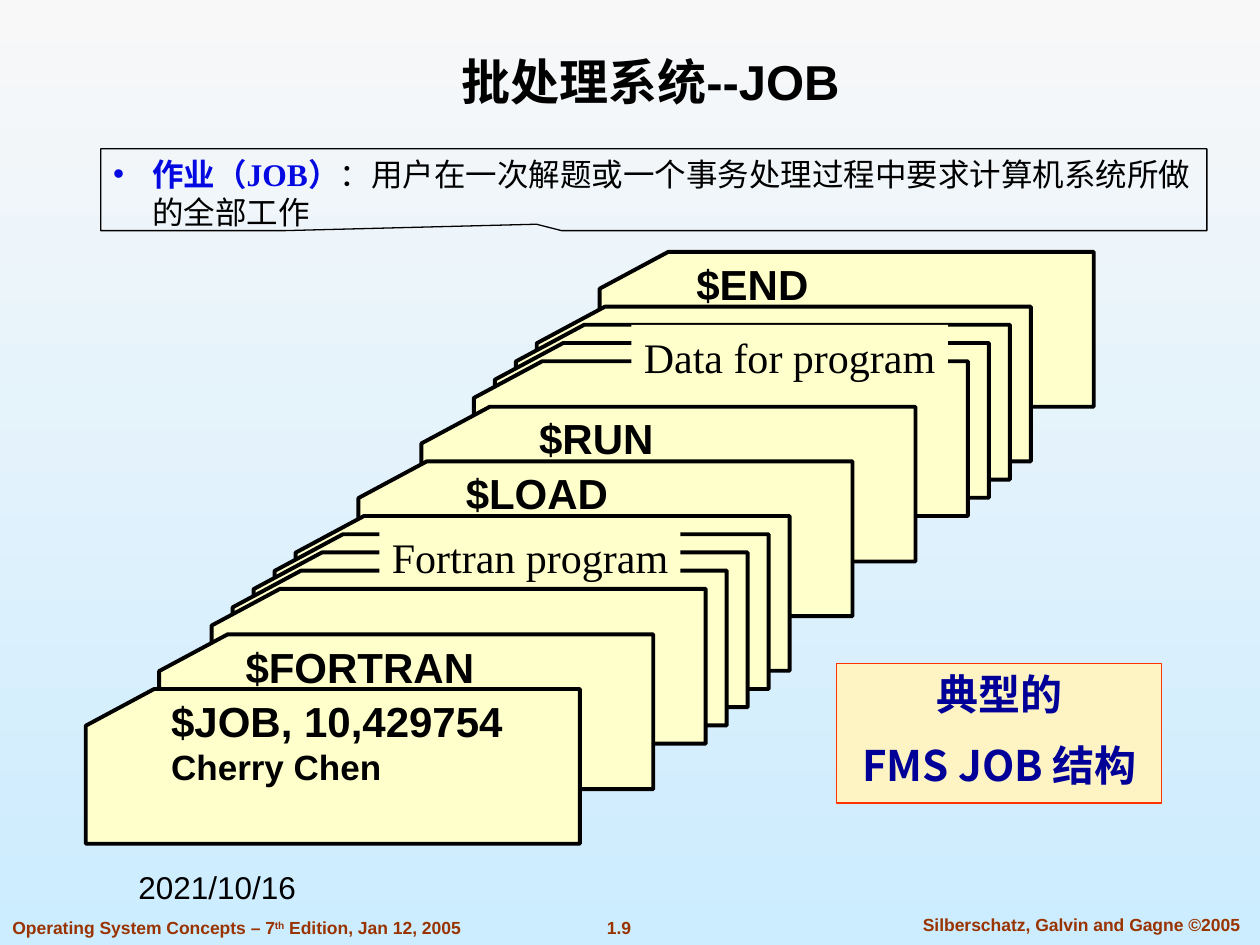
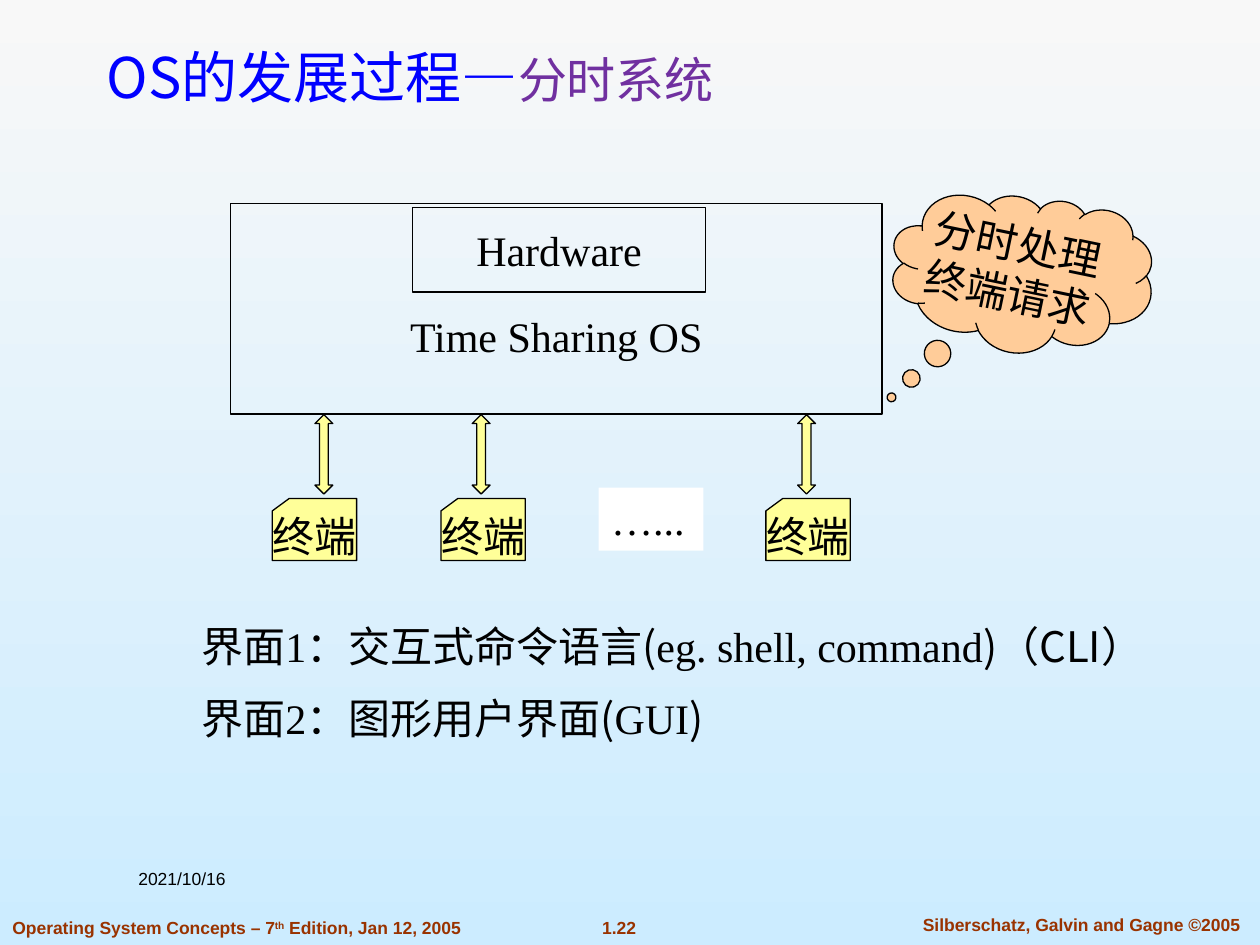
import pptx
import pptx.util
import pptx.dml.color
import pptx.enum.shapes
import pptx.enum.text
import pptx.oxml.ns
import lxml.etree

Cm = pptx.util.Cm
Pt = pptx.util.Pt
KIND = pptx.enum.shapes.MSO_SHAPE
ALIGN = pptx.enum.text.PP_ALIGN
ANCHOR = pptx.enum.text.MSO_ANCHOR
SANS, SERIF, CJK = "Arial", "Times New Roman", "Noto Sans CJK SC"
COLORS = {
    "sky_top": "F8F8F8", "sky_bottom": "CCECFF", "footer": "993300",
    "ink": "000000", "card": "FFFFCC", "note": "FEF3C2",
    "note_edge": "FF3300", "note_text": "000099", "term": "0409E2",
    "heading": "0000FF", "subheading": "7030A0", "cloud": "FFCC99",
    "terminal": "FFFF99", "white": "FFFFFF",
}


def paint(shape, fill=None, line=None, width=0.75):
    shape.shadow.inherit = False
    if fill:
        shape.fill.solid()
        shape.fill.fore_color.rgb = pptx.dml.color.RGBColor.from_string(COLORS[fill])
    else:
        shape.fill.background()
    if line:
        shape.line.color.rgb = pptx.dml.color.RGBColor.from_string(COLORS[line])
        shape.line.width = Pt(width)
    else:
        shape.line.fill.background()
    return shape


def write(shape, paragraphs, align=ALIGN.LEFT, anchor=ANCHOR.TOP, wrap=True):
    frame = shape.text_frame
    frame.word_wrap = wrap
    frame.vertical_anchor = anchor
    for index, pieces in enumerate(paragraphs):
        paragraph = frame.add_paragraph() if index else frame.paragraphs[0]
        paragraph.alignment = align
        for text, size, face, color, bold in pieces:
            run = paragraph.add_run()
            run.text = text
            run.font.size = Pt(size)
            run.font.name = face
            run.font.bold = bold
            run.font.color.rgb = pptx.dml.color.RGBColor.from_string(COLORS[color])
            east_asian = lxml.etree.SubElement(run.font._element, pptx.oxml.ns.qn("a:ea"))
            east_asian.set("typeface", CJK)
    return frame


deck = pptx.Presentation()
deck.slide_width = Cm(25.4)
deck.slide_height = Cm(19.05)
blank = deck.slide_layouts[6]

pages = [
    ("1.9", 18, ALIGN.CENTER, [("批处理系统--JOB", 28, SANS, "ink", True)]),
    ("1.22", 10, ALIGN.LEFT, [
        ("OS的发展过程", 32, CJK, "heading", False),
        ("—", 32, SANS, "heading", False),
        ("分时系统", 28, SANS, "subheading", False),
    ]),
]
for number, date_size, title_align, title in pages:
    slide = deck.slides.add_slide(blank)
    sky = slide.background.fill
    sky.gradient()
    sky.gradient_angle = 270
    for stop, shade in zip(sky.gradient_stops, ("sky_top", "sky_bottom")):
        stop.color.rgb = pptx.dml.color.RGBColor.from_string(COLORS[shade])

    page_number = slide.shapes.add_textbox(Cm(11.86), Cm(18.37), Cm(1.24), Cm(0.69))
    write(page_number, [[(number, 10, SANS, "footer", True)]], ALIGN.CENTER, wrap=False)
    authors = slide.shapes.add_textbox(Cm(18.03), Cm(18.3), Cm(7.54), Cm(0.69))
    write(authors, [[("Silberschatz, Galvin and Gagne ©2005", 10, SANS, "footer", True)]],
          ALIGN.CENTER)
    book = slide.shapes.add_textbox(Cm(0), Cm(18.37), Cm(9.58), Cm(0.69))
    edition = write(book, [[
        (part, 10, SANS, "footer", True)
        for part in ("Operating System Concepts – 7", "th", " Edition, Jan 12, 2005")
    ]], wrap=False)
    edition.paragraphs[0].runs[1].font._element.set("baseline", "30000")

    heading = slide.shapes.add_textbox(Cm(1.9), Cm(0.64), Cm(22.43), Cm(1.7))
    write(heading, [title], title_align, ANCHOR.BOTTOM)
    date = slide.shapes.add_textbox(Cm(2.54), Cm(17.37), Cm(5.51), Cm(1.27))
    write(date, [[("2021/10/16", date_size, SANS, "ink", False)]])

job_slide, sharing_slide = deck.slides

CARD_OUTLINE = [(0, 0.74), (1.38, 0), (9.96, 0), (9.96, 3.12), (0, 3.12)]
corners = [(Cm(x), Cm(y)) for x, y in CARD_OUTLINE]
punched_cards = [
    (0, 0, ["$END"], 13.79, 5.08, 2.77),
    (3, 3, None, 0, 0, 0),
    (4, 4, None, 0, 0, 0),
    (5, 5, None, 0, 0, 0),
    (6, 6, ["Data for program"], 12.73, 6.55, 6.38),
    (8.5, 8.5, ["$RUN"], 10.62, 8.2, 2.82),
    (11.5, 11.5, ["$LOAD"], 9.14, 9.3, 3.38),
    (14.5, 14.5, None, 0, 0, 0),
    (15.5, 15.5, None, 0, 0, 0),
    (16.5, 16.5, None, 0, 0, 0),
    (17.5, 17.5, ["Fortran program"], 7.65, 10.59, 6.07),
    (18.5, 18.5, None, 0, 0, 0),
    (21, 21, ["$FORTRAN"], 4.7, 12.8, 6),
    (24.5, 24, ["$JOB, 10,429754", "Cherry Chen"], 3.2, 13.89, 8),
]
for across, down, label, left, top, width in punched_cards:
    outline = job_slide.shapes.build_freeform(*corners[0])
    outline.add_line_segments(corners[1:], close=True)
    card = outline.convert_to_shape(Cm(12.09 - across / 24.5 * 10.36),
                                    Cm(5.08 + down / 24 * 8.81))
    paint(card, "card", "ink", 2.25)
    if label:
        command = label[0].startswith("$")
        if command:
            tag = job_slide.shapes.add_textbox(Cm(left), Cm(top), Cm(width), Cm(1.37))
        else:
            tag = paint(job_slide.shapes.add_shape(
                KIND.RECTANGLE, Cm(left), Cm(top), Cm(width), Cm(1.37)), "card")
        write(tag, [
            [(text, size, SANS if command else SERIF, "ink", command)]
            for text, size in zip(label, (24, 20))
        ], wrap=width >= 6.5 or label == ["$FORTRAN"])

structure = paint(job_slide.shapes.add_shape(
    KIND.RECTANGLE, Cm(16.87), Cm(13.37), Cm(6.55), Cm(2.82)), "note", "note_edge")
structure_text = write(structure, [
    [(text, 24, CJK, "note_text", True)] for text in ("典型的", "FMS JOB 结构")
], ALIGN.CENTER)

definition = paint(job_slide.shapes.add_shape(
    KIND.RECTANGULAR_CALLOUT, Cm(2.03), Cm(3), Cm(22.3), Cm(1.65)), None, "ink")
definition.adjustments[0] = -0.106
definition.adjustments[1] = 0.422
definition_text = write(definition, [[
    ("作业（JOB）", 18, SERIF, "term", True),
    ("：用户在一次解题或一个事务处理过程中要求计算机系统所做的全部工作", 18, SERIF, "ink", False),
]])
bullet_format = definition_text.paragraphs[0]._p.get_or_add_pPr()
bullet_format.set("marL", str(Cm(0.79)))
bullet_format.set("indent", str(-Cm(0.79)))
lxml.etree.SubElement(bullet_format, pptx.oxml.ns.qn("a:buFont")).set("typeface", SANS)
lxml.etree.SubElement(bullet_format, pptx.oxml.ns.qn("a:buChar")).set("char", "•")

requests = paint(sharing_slide.shapes.add_shape(
    KIND.CLOUD_CALLOUT, Cm(17.96), Cm(3.91), Cm(5.28), Cm(3.2)), "cloud", "ink")
requests.rotation = 11.7
requests.adjustments[0] = -0.391
requests.adjustments[1] = 0.932
write(requests, [[(text, 24, SERIF, "ink", False)] for text in ("分时处理", "终端请求")],
      ALIGN.CENTER, ANCHOR.MIDDLE, False)

interfaces = sharing_slide.shapes.add_textbox(Cm(3.81), Cm(12.41), Cm(20.5), Cm(2.82))
interface_text = write(interfaces, [
    [(text, 24, face, "ink", False) for text, face in zip(line, (SERIF, CJK, SERIF, CJK))]
    for line in (
        ("界面1：交互式命令语言", "(", "eg. shell, command", ")（CLI）"),
        ("界面2：图形用户界面", "(", "GUI", ")"),
    )
])
for spaced_text in (structure_text, interface_text):
    for paragraph in spaced_text.paragraphs:
        paragraph.line_spacing = Pt(28)
    spaced_text.paragraphs[1].space_before = Pt(13)

layers = [
    ("Time Sharing OS", 4.65, 4.11, 13.13, 4.24, 1.2),
    ("Hardware", 8.31, 4.19, 5.92, 1.7, 0.13),
]
for name, left, top, width, height, top_margin in layers:
    layer = paint(sharing_slide.shapes.add_shape(
        KIND.RECTANGLE, Cm(left), Cm(top), Cm(width), Cm(height)), None, "ink")
    write(layer, [[(name, 24, SERIF, "ink", False)]], ALIGN.CENTER, ANCHOR.MIDDLE,
          False).margin_top = Cm(top_margin)

for terminal_left, arrow_left in ((5.49, 6.35), (8.89, 9.52), (15.44, 16.08)):
    terminal = paint(sharing_slide.shapes.add_shape(
        KIND.FLOWCHART_CARD, Cm(terminal_left), Cm(10.05), Cm(1.7), Cm(1.25)),
        "terminal", "ink")
    write(terminal, [[("终端", 24, SERIF, "ink", False)]], ALIGN.CENTER, ANCHOR.MIDDLE, False)
    link = paint(sharing_slide.shapes.add_shape(
        KIND.UP_DOWN_ARROW, Cm(arrow_left), Cm(8.36), Cm(0.36), Cm(1.6)), "terminal", "ink")
    link.adjustments[0] = 0.917
    link.adjustments[1] = 0.5

more_terminals = paint(sharing_slide.shapes.add_shape(
    KIND.RECTANGLE, Cm(12.07), Cm(9.83), Cm(2.11), Cm(1.27)), "white")
write(more_terminals, [[("…...", 24, SERIF, "ink", False)]])

deck.save("out.pptx")
